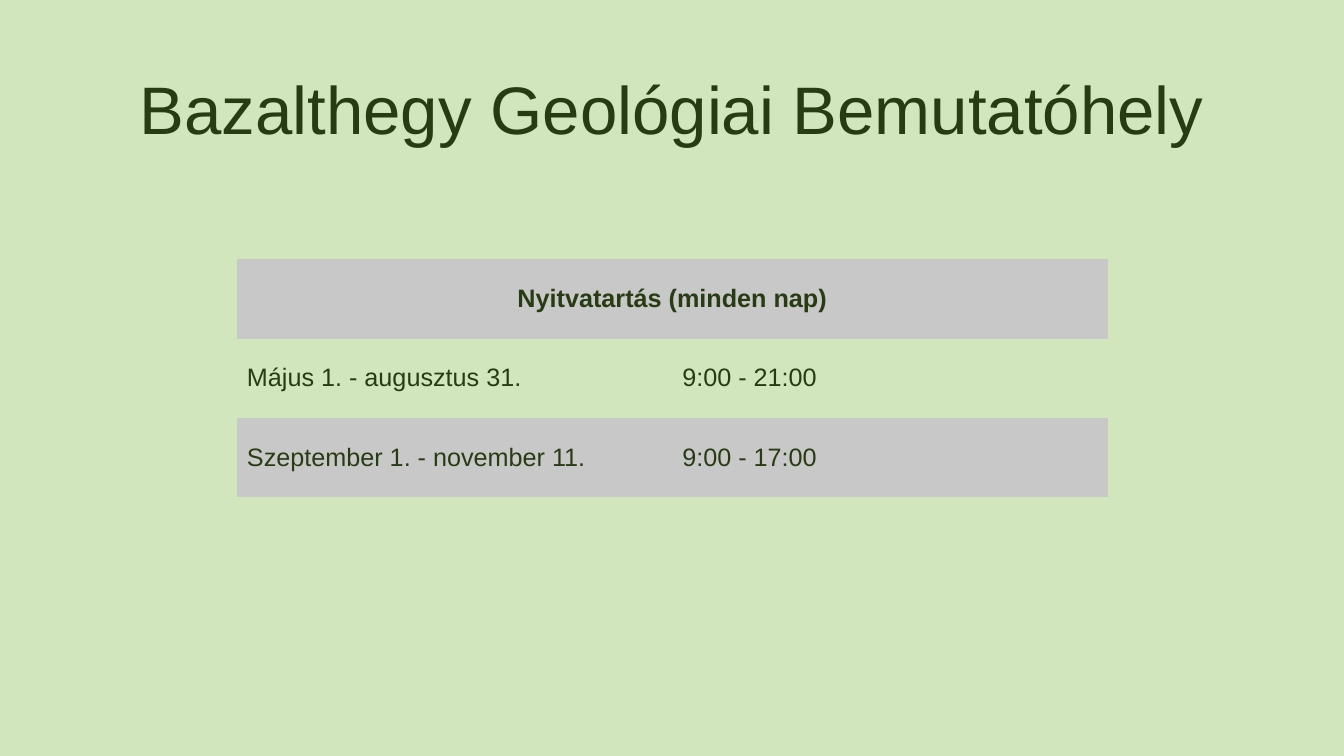
from pptx import Presentation
from pptx import util as u
from pptx.dml.color import RGBColor
from pptx.enum import text
from pptx.oxml.ns import qn

PALE_GREEN = RGBColor(0xD2, 0xE6, 0xBE)
DARK_GREEN = RGBColor(0x28, 0x3C, 0x14)
BAND_GREY = RGBColor(0xC8, 0xC8, 0xC8)
FONT = "Arial"
NO_STYLE_NO_GRID = "{2D5ABB26-0587-4C30-8999-92F81FD0307C}"

HEADING = "Nyitvatartás (minden nap)"
OPENING_HOURS = [
    ("Május 1. - augusztus 31.", "9:00 - 21:00"),
    ("Szeptember 1. - november 11.", "9:00 - 17:00"),
]


def format_paragraph(paragraph, size, bold=False, align=None):
    paragraph.font.name = FONT
    paragraph.font.size = u.Pt(size)
    paragraph.font.bold = bold
    paragraph.font.color.rgb = DARK_GREEN
    paragraph.alignment = align


def add_title(slide, left, top, width, height):
    title = slide.shapes.title
    title.left, title.top, title.width, title.height = left, top, width, height
    frame = title.text_frame
    frame.text = "Bazalthegy Geológiai Bemutatóhely"
    frame.word_wrap = True
    frame.auto_size = text.MSO_AUTO_SIZE.NONE
    frame.vertical_anchor = text.MSO_ANCHOR.MIDDLE
    format_paragraph(frame.paragraphs[0], 48, align=text.PP_ALIGN.CENTER)
    frame.paragraphs[0].line_spacing = 0.9


def add_opening_hours(slide, left, top, width, height):
    rows = [(HEADING, "")] + OPENING_HOURS
    hours = slide.shapes.add_table(len(rows), 2, left, top, width, height).table
    hours.first_row = hours.horz_banding = False
    hours._tbl.tblPr.find(qn("a:tableStyleId")).text = NO_STYLE_NO_GRID

    # Every other row is grey, starting with the heading
    for r, row in enumerate(rows):
        for c, wording in enumerate(row):
            cell = hours.cell(r, c)
            cell.vertical_anchor = text.MSO_ANCHOR.MIDDLE
            if r % 2 == 0:
                cell.fill.solid()
                cell.fill.fore_color.rgb = BAND_GREY
            else:
                cell.fill.background()
            cell.text = wording
            format_paragraph(cell.text_frame.paragraphs[0], 18)

    # Heading across both columns
    heading = hours.cell(0, 0)
    heading.merge(hours.cell(0, 1))
    format_paragraph(heading.text_frame.paragraphs[0], 18, True, text.PP_ALIGN.CENTER)


def main():
    prs = Presentation()
    prs.slide_width, prs.slide_height = u.Cm(33.87), u.Cm(19.05)
    slide = prs.slides.add_slide(prs.slide_layouts[5])
    slide.background.fill.solid()
    slide.background.fill.fore_color.rgb = PALE_GREEN

    add_title(slide, u.Cm(2.33), u.Cm(1.01), u.Cm(29.21), u.Cm(3.68))
    add_opening_hours(slide, u.Cm(5.97), u.Cm(6.53), u.Cm(21.94), u.Cm(6))
    prs.save("out.pptx")


if __name__ == "__main__":
    main()
